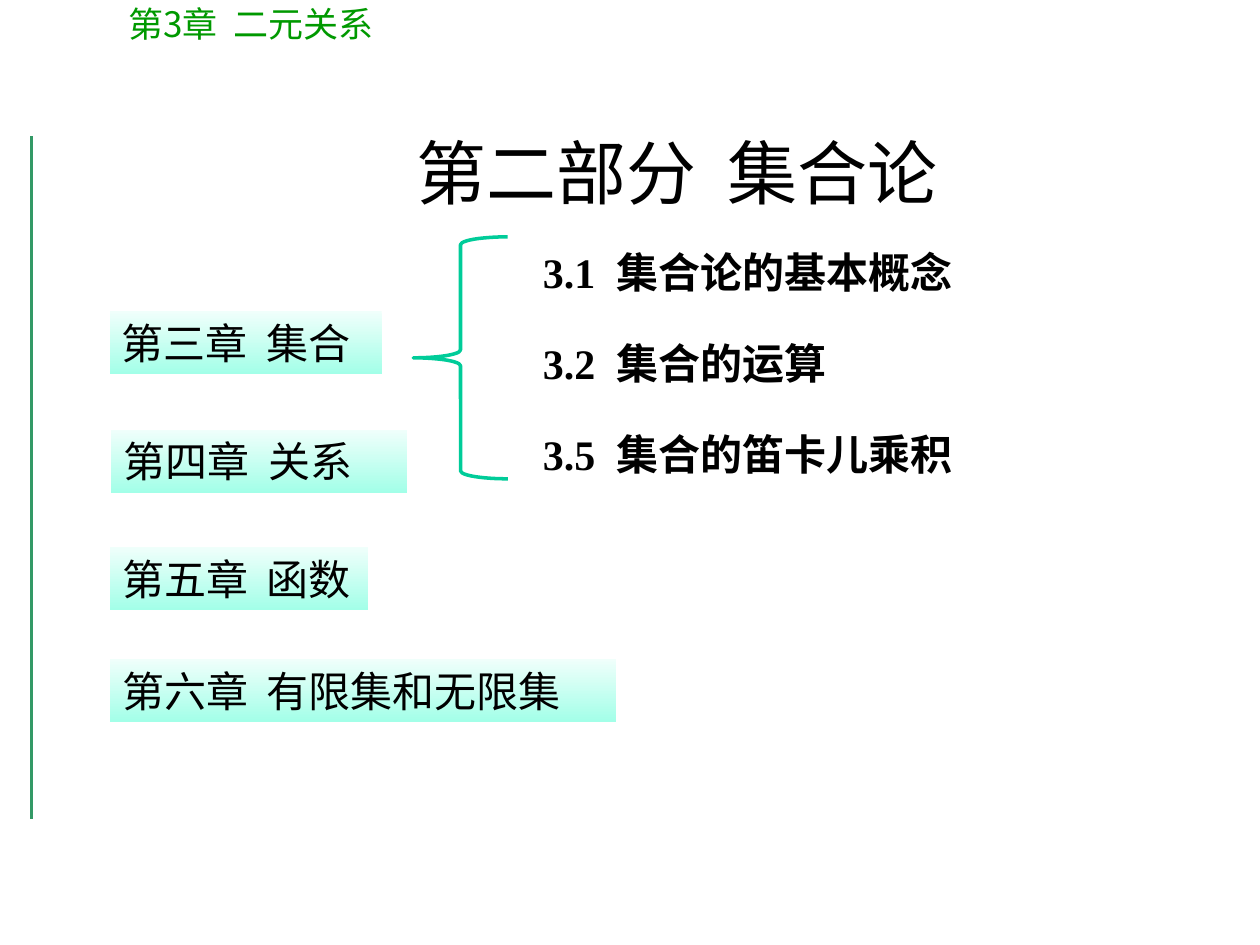
import pptx
import pptx.util
import pptx.dml.color
import pptx.enum.shapes
import pptx.enum.text
import pptx.oxml
import pptx.oxml.ns

Inches = pptx.util.Inches
SHAPES = pptx.enum.shapes.MSO_SHAPE

# Content
HEADER = "第3章  二元关系"
TITLE = "第二部分  集合论"
SECTIONS = ["3.1  集合论的基本概念", "3.2  集合的运算", "3.5  集合的笛卡儿乘积"]
CHAPTERS = [  # text, left, top, width
    ("第三章  集合", 0.87, 2.47, 2.16),
    ("第四章  关系", 0.88, 3.41, 2.35),
    ("第五章  函数", 0.87, 4.34, 2.05),
    ("第六章  有限集和无限集", 0.87, 5.23, 4.02),
]
CHAPTER_HEIGHT = 0.5

# Look
COLORS = {"rule": "339966", "header": "009900", "text": "000000", "brace": "00CC99",
          "chapter_top": "F0FFFB", "chapter_bottom": "A3FFE8"}
CJK, LATIN = "Noto Sans CJK SC", "Times New Roman"
FORMATS = {
    "header": {"name": CJK, "size": pptx.util.Pt(20), "bold": False},
    "title": {"name": CJK, "size": pptx.util.Pt(40), "bold": False},
    "section": {"name": LATIN, "size": pptx.util.Pt(24), "bold": True},
    "chapter": {"name": LATIN, "size": pptx.util.Pt(24), "bold": False},
}


def rgb(name):
    return pptx.dml.color.RGBColor.from_string(COLORS[name])


def write(shape, lines, style, color="text", wrap=True, spacing=None):
    frame = shape.text_frame
    frame.word_wrap = wrap
    frame.vertical_anchor = pptx.enum.text.MSO_ANCHOR.TOP
    frame.text = "\n".join(lines)
    for paragraph in frame.paragraphs:
        paragraph.alignment = pptx.enum.text.PP_ALIGN.LEFT
        paragraph.line_spacing = spacing
        font = paragraph.runs[0].font
        for attribute, value in FORMATS[style].items():
            setattr(font, attribute, value)
        font.color.rgb = rgb(color)
        east_asian = pptx.oxml.parse_xml(
            f'<a:ea {pptx.oxml.ns.nsdecls("a")} typeface="{CJK}"/>')
        font._element.find(pptx.oxml.ns.qn("a:latin")).addnext(east_asian)


def text_box(slide, box, *args, **kwargs):
    write(slide.shapes.add_textbox(*map(Inches, box)), *args, **kwargs)


def plain_shape(slide, kind, box):
    shape = slide.shapes.add_shape(kind, *map(Inches, box))
    shape.shadow.inherit = False
    return shape


def main():
    deck = pptx.Presentation()
    deck.slide_width, deck.slide_height = Inches(10), Inches(7.5)
    slide = deck.slides.add_slide(deck.slide_layouts[6])

    # Vertical rule at the left edge
    rule = slide.shapes.add_connector(
        pptx.enum.shapes.MSO_CONNECTOR.STRAIGHT,
        Inches(0.25), Inches(1.08), Inches(0.25), Inches(6.5))
    rule.line.color.rgb = rgb("rule")
    rule.line.width = pptx.util.Pt(2.25)
    rule._element.spPr.append(pptx.oxml.parse_xml(
        f'<a:effectLst {pptx.oxml.ns.nsdecls("a")}/>'))

    # Header, title and section list
    text_box(slide, (0.92, -0.03, 4.5, 0.44), [HEADER], "header", color="header")
    text_box(slide, (3.21, 0.98, 4.46, 0.77), [TITLE], "title", wrap=False)
    text_box(slide, (4.21, 1.59, 3.53, 2.26), SECTIONS, "section",
             wrap=False, spacing=1.8)

    # Chapter bars
    for text, left, top, width in CHAPTERS:
        bar = plain_shape(slide, SHAPES.RECTANGLE, (left, top, width, CHAPTER_HEIGHT))
        bar.line.fill.background()
        bar.fill.gradient()
        bar.fill.gradient_angle = 270
        for stop, name, position in zip(bar.fill.gradient_stops,
                                        ("chapter_top", "chapter_bottom"), (0, 1)):
            stop.color.rgb = rgb(name)
            stop.position = position
        write(bar, [text], "chapter")

    # Brace from chapter three to its sections
    brace = plain_shape(slide, SHAPES.LEFT_BRACE, (3.28, 1.88, 0.75, 1.92))
    brace.fill.background()
    brace.line.color.rgb = rgb("brace")
    brace.line.width = pptx.util.Pt(2)

    deck.save("out.pptx")


if __name__ == "__main__":
    main()
